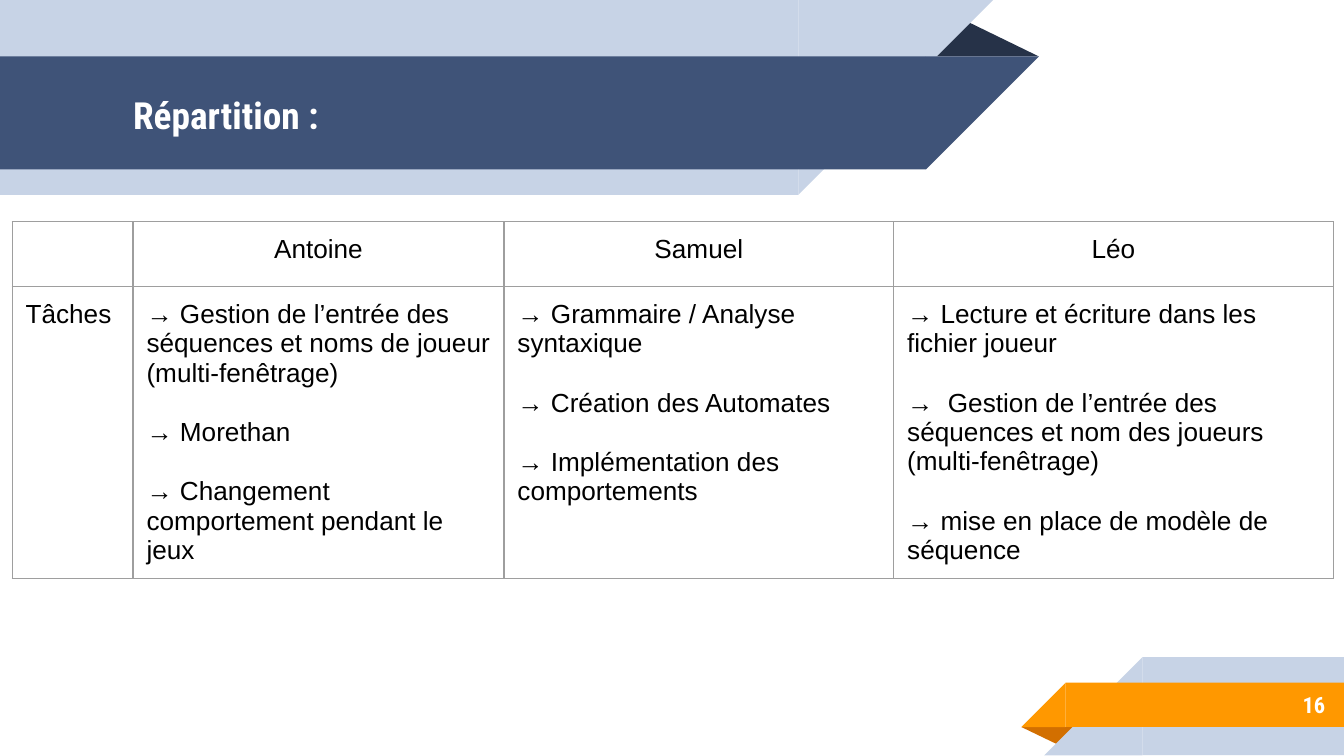
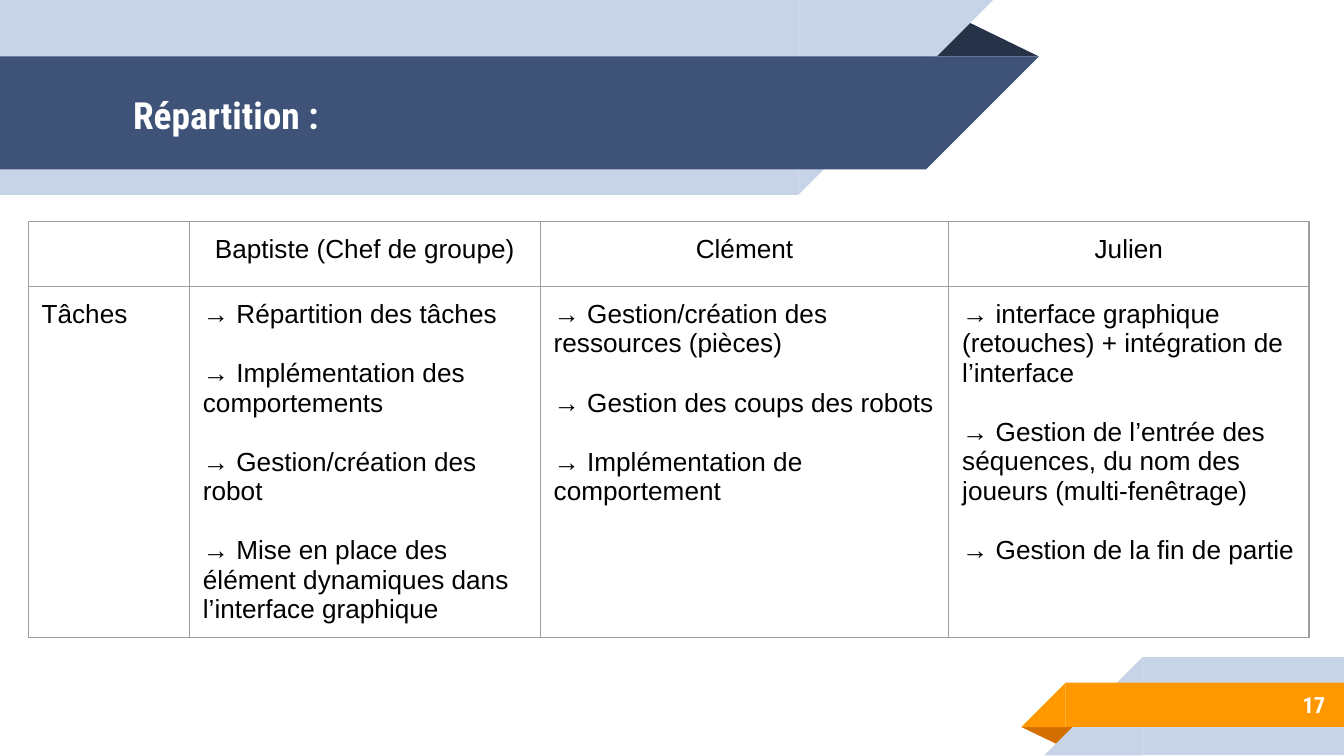
import pptx
import pptx.util
import pptx.dml.color
import pptx.enum.shapes
import pptx.enum.text
import lxml.etree

Pt = pptx.util.Pt
Kind = pptx.enum.shapes.MSO_SHAPE
Align = pptx.enum.text.PP_ALIGN
Anchor = pptx.enum.text.MSO_ANCHOR
NS = "http://schemas.openxmlformats.org/drawingml/2006/main"
COLS, ROWS = 100, 56.25

PALE, NAVY, DARK = "C7D3E6", "3F5378", "263248"
GOLD, RUST = "FF9800", "D26F00"
WHITE, BLACK, GREY = "FFFFFF", "000000", "9E9E9E"
HEAD, BODY = "Roboto Condensed", "Arial"


def tint(code):
    return pptx.dml.color.RGBColor.from_string(code)


class Deck:
    def __init__(self):
        self.prs = pptx.Presentation()
        self.prs.slide_width = pptx.util.Inches(10)
        self.prs.slide_height = pptx.util.Inches(5.625)
        self.slide = None

    def col(self, count):
        return round(self.prs.slide_width * count / COLS)

    def row(self, count):
        return round(self.prs.slide_height * count / ROWS)

    def box(self, left, top, width, height):
        return self.col(left), self.row(top), self.col(width), self.row(height)

    def start(self, title, number):
        self.slide = self.prs.slides.add_slide(self.prs.slide_layouts[5])
        self.header()
        self.footer()
        self.title(title)
        self.number(number)

    def shape(self, kind, place, color, turn=0):
        item = self.slide.shapes.add_shape(kind, *self.box(*place))
        item.shadow.inherit = False
        item.fill.solid()
        item.fill.fore_color.rgb = tint(color)
        item.line.fill.background()
        item.rotation = turn
        return item

    def fold(self, place, color, turn=0):
        item = self.shape(Kind.ISOSCELES_TRIANGLE, place, color, turn)
        item.adjustments[0] = 0.324

    def band(self, left, top, width, height, color, right):
        self.shape(Kind.RECTANGLE, (left, top, width, height), color)
        tip = left + width if right else left - height
        self.shape(Kind.RIGHT_TRIANGLE, (tip, top, height, height),
                   color, 90 if right else 270)

    def header(self):
        self.fold((68.8, 1.4, 8.5, 2.8), DARK)
        self.band(0, 0, 59.4, 14.5, PALE, True)
        self.band(0, 4.2, 68.9, 8.4, NAVY, True)

    def footer(self):
        self.fold((76, 54.1, 4.3, 1.4), RUST, 180)
        self.band(85, 48.9, 15, 7.3, PALE, False)
        self.band(79.3, 50.8, 20.7, 3.3, GOLD, False)

    def put(self, para, text, size, font, color, bold=False):
        run = para.add_run()
        run.text = text
        run.font.size = Pt(size)
        run.font.name = font
        run.font.bold = bold
        run.font.color.rgb = tint(color)

    def inset(self, item):
        item.margin_left = item.margin_right = self.col(1)
        item.margin_top = item.margin_bottom = self.row(1)

    def label(self, item, text, size, align):
        frame = item.text_frame
        frame.word_wrap = True
        frame.auto_size = pptx.enum.text.MSO_AUTO_SIZE.NONE
        frame.vertical_anchor = Anchor.MIDDLE
        self.inset(frame)
        para = frame.paragraphs[0]
        para.alignment = align
        self.put(para, text, size, HEAD, WHITE, True)

    def title(self, text):
        item = self.slide.shapes.title
        item.left, item.top, item.width, item.height = self.box(8.9, 4.3, 57.5, 8.4)
        self.label(item, text, 20, Align.LEFT)
        item.element.getparent().append(item.element)

    def number(self, value):
        item = self.slide.shapes.add_textbox(*self.box(83.3, 50.7, 16.3, 3.5))
        self.label(item, str(value), 12, Align.RIGHT)

    def border(self, cell):
        props = cell._tc.get_or_add_tcPr()
        for spot, side in enumerate(("lnL", "lnR", "lnT", "lnB")):
            line = lxml.etree.Element(f"{{{NS}}}{side}", w=str(Pt(0.75)))
            fill = lxml.etree.SubElement(line, f"{{{NS}}}solidFill")
            lxml.etree.SubElement(fill, f"{{{NS}}}srgbClr", val=GREY)
            props.insert(spot, line)

    def cell(self, cell, lines, align):
        cell.fill.background()
        self.inset(cell)
        self.border(cell)
        frame = cell.text_frame
        for spot, text in enumerate(lines):
            para = frame.add_paragraph() if spot else frame.paragraphs[0]
            para.alignment = align
            if spot:
                para.space_before = Pt(16)
            self.put(para, text, 14, BODY, BLACK)

    def table(self, left, widths, names, tasks):
        highs = (4.8, 12.4)
        place = self.box(left, 16.5, sum(widths), sum(highs))
        grid = self.slide.shapes.add_table(2, len(widths), *place).table
        grid.first_row = grid.horz_banding = False
        for column, width in zip(grid.columns, widths):
            column.width = self.col(width)
        for line, high in zip(grid.rows, highs):
            line.height = self.row(high)
        for spot, name in enumerate([""] + names):
            self.cell(grid.cell(0, spot), [name], Align.CENTER)
        for spot, lines in enumerate([["Tâches"]] + tasks):
            self.cell(grid.cell(1, spot), lines, Align.LEFT)


def main():
    deck = Deck()
    pages = [
        (0.9, (9, 27.6, 29, 32.7), {
            "Antoine": [
                "→ Gestion de l’entrée des séquences et noms de joueur (multi-fenêtrage)",
                "→ Morethan",
                "→ Changement comportement pendant le jeux",
            ],
            "Samuel": [
                "→ Grammaire / Analyse syntaxique",
                "→ Création des Automates",
                "→ Implémentation des comportements",
            ],
            "Léo": [
                "→ Lecture et écriture dans les fichier joueur",
                "→  Gestion de l’entrée des séquences et nom des joueurs (multi-fenêtrage)",
                "→ mise en place de modèle de séquence",
            ],
        }),
        (2.1, (12, 26.1, 30.4, 26.8), {
            "Baptiste (Chef de groupe)": [
                "→ Répartition des tâches",
                "→ Implémentation des comportements",
                "→ Gestion/création des robot",
                "→ Mise en place des élément dynamiques dans l’interface graphique",
            ],
            "Clément": [
                "→ Gestion/création des ressources (pièces)",
                "→ Gestion des coups des robots",
                "→ Implémentation de comportement",
            ],
            "Julien": [
                "→ interface graphique (retouches) + intégration de l’interface",
                "→ Gestion de l’entrée des séquences, du nom des joueurs (multi-fenêtrage)",
                "→ Gestion de la fin de partie",
            ],
        }),
    ]
    for number, (left, widths, team) in enumerate(pages, 16):
        deck.start("Répartition :", number)
        deck.table(left, widths, list(team), list(team.values()))
    deck.prs.save("out.pptx")


if __name__ == "__main__":
    main()
